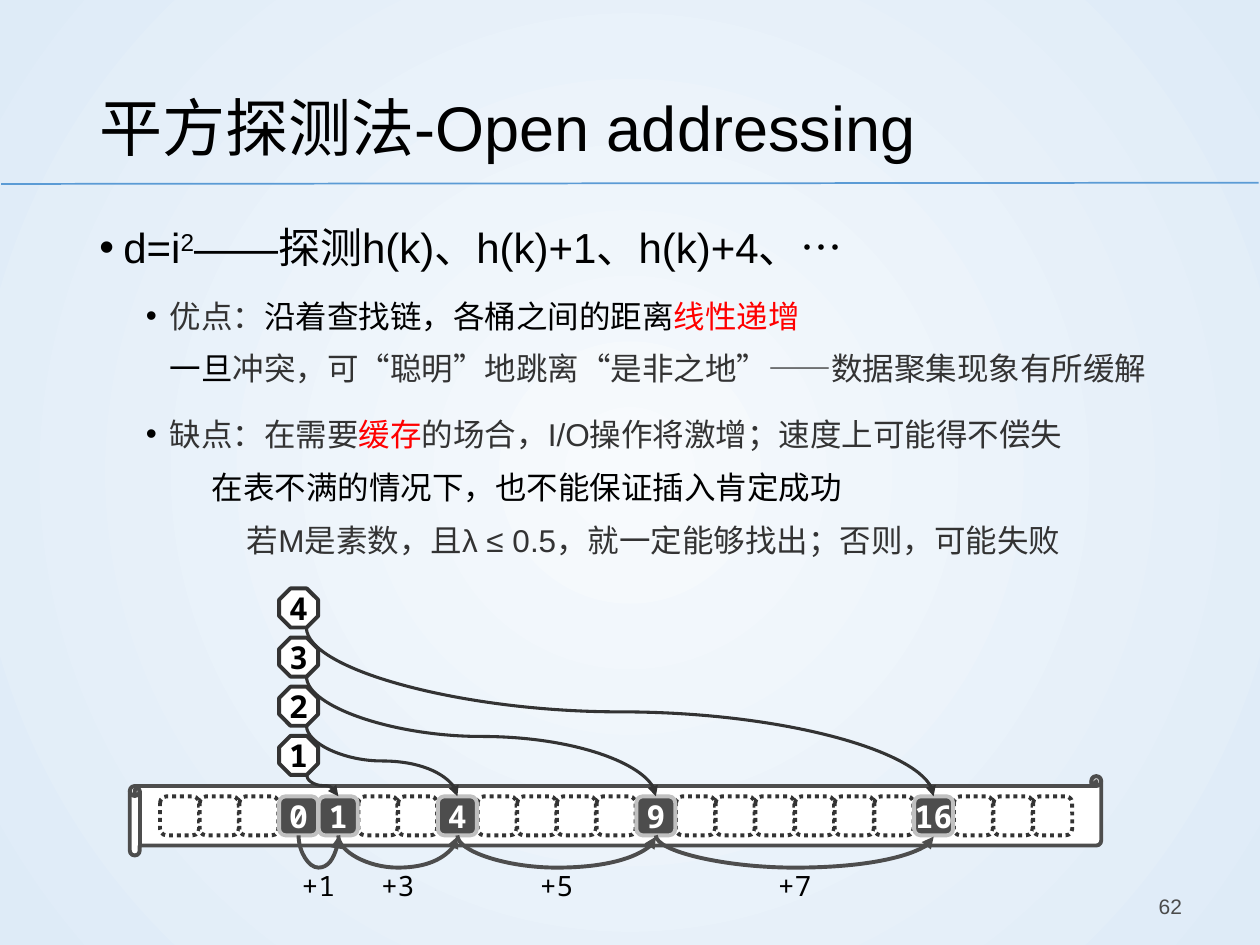
"""Build the slide on quadratic probing in open addressing."""
import pptx
import pptx.dml.color
import pptx.enum.dml
import pptx.enum.shapes
import pptx.enum.text
import pptx.oxml
import pptx.oxml.ns
import pptx.util

rgb = pptx.dml.color.RGBColor.from_string
inch, pt, qn = pptx.util.Inches, pptx.util.Pt, pptx.oxml.ns.qn
kinds, links = pptx.enum.shapes.MSO_SHAPE, pptx.enum.shapes.MSO_CONNECTOR
align, anchor = pptx.enum.text.PP_ALIGN, pptx.enum.text.MSO_ANCHOR
no_fit = pptx.enum.text.MSO_AUTO_SIZE.NONE
NS = 'xmlns:a="http://schemas.openxmlformats.org/drawingml/2006/main"'

INK, GREY, BLACK, RED, WHITE = "333333", "4D4D4D", "000000", "FF0000", "FFFFFF"
PITCH, CELL, COLUMNS, HOME = 6.93 / 22, 0.31, 23, 3
ROW_LEFT, ROW_TOP, STACK_TOP, STACK_STEP = 1.27, 6.32, 5.84, 0.39
LABEL_TOP, ARC_DEPTH = 6.87, 0.26
SQUARES = [0, 1, 4, 9, 16]


def block(kind, left, top, fill, line, words="", ink=BLACK, size=18, bold=True):
    """Draw one cell-sized block, with centred words if any."""
    piece = slide.shapes.add_shape(kind, inch(left), inch(top), inch(CELL), inch(CELL))
    piece.shadow.inherit = False
    if fill:
        piece.fill.solid()
        piece.fill.fore_color.rgb = rgb(fill)
        piece.line.color.rgb, piece.line.width = rgb(line), pt(2.25)
    else:
        piece.fill.background()
        piece.line.fill.background()
    if words:
        frame = piece.text_frame
        layout = dict(margin_left=0, margin_right=0, margin_top=0, margin_bottom=0,
                      word_wrap=False, vertical_anchor=anchor.MIDDLE)
        for name, value in layout.items():
            setattr(frame, name, value)
        frame.text = words
        frame.paragraphs[0].alignment = align.CENTER
        font = frame.paragraphs[0].runs[0].font
        for name, value in dict(name="Noto Sans Mono", size=pt(size), bold=bold).items():
            setattr(font, name, value)
        font.color.rgb = rgb(ink)
    return piece


def hop(start, end, bend, ink, width):
    """Draw a curved arrow that leaves downwards from start and arrives at end."""
    (x1, y1), (x2, y2) = start, end
    half_x, half_y = (y2 - y1) / 2, (x2 - x1) / 2
    mid_x, mid_y = (x1 + x2) / 2, (y1 + y2) / 2
    arrow = slide.shapes.add_connector(
        links.CURVE, inch(mid_x - half_x), inch(mid_y - half_y),
        inch(mid_x + half_x), inch(mid_y + half_y))
    arrow.line.color.rgb, arrow.line.width = rgb(ink), pt(width)
    properties = arrow._element.spPr
    turn = properties.find(qn("a:xfrm"))
    turn.set("rot", "16200000")
    turn.set("flipH", "1")
    geometry = properties.find(qn("a:prstGeom"))
    geometry.find(qn("a:avLst")).append(pptx.oxml.parse_xml(
        f'<a:gd {NS} name="adj1" fmla="val {round(bend * 100000)}"/>'))
    properties.find(qn("a:ln")).append(pptx.oxml.parse_xml(f'<a:tailEnd {NS} type="triangle"/>'))
    properties.append(pptx.oxml.parse_xml(f"<a:effectLst {NS}/>"))


deck = pptx.Presentation()
deck.slide_width, deck.slide_height = inch(10), inch(7.5)
slide = deck.slides.add_slide(deck.slide_layouts[5])

backdrop = slide.background.fill
backdrop.gradient()
for stop, shade in zip(backdrop.gradient_stops, ["F7FAFD", "DEEBF7"]):
    stop.color.rgb = rgb(shade)
gradient = slide._element.find(".//" + qn("a:gradFill"))
gradient.replace(gradient.find(qn("a:lin")), pptx.oxml.parse_xml(
    f'<a:path {NS} path="circle"><a:fillToRect l="50000" t="50000" r="50000" b="50000"/></a:path>'))

rule = slide.shapes.add_connector(links.STRAIGHT, inch(0.01), inch(1.46), inch(9.99), inch(1.45))
rule.line.color.rgb, rule.line.width = rgb("5B9BD5"), pt(1)
rule._element.spPr.append(pptx.oxml.parse_xml(f"<a:effectLst {NS}/>"))

heading = slide.shapes.title
for name, value in dict(left=0.69, top=0.4, width=8.62, height=1.08).items():
    setattr(heading, name, inch(value))
page = slide.shapes.add_textbox(inch(7.23), inch(6.99), inch(2.25), inch(0.4))
for holder, words, side, size, ink, spacing in [
        (heading, "平方探测法-Open addressing", align.LEFT, 36, BLACK, 1.2),
        (page, "62", align.RIGHT, 12, "4B4B4B", 1)]:
    frame = holder.text_frame
    frame.text = words
    for name, value in dict(word_wrap=True, auto_size=no_fit, vertical_anchor=anchor.MIDDLE).items():
        setattr(frame, name, value)
    line = frame.paragraphs[0]
    line.alignment, line.line_spacing = side, spacing
    line.runs[0].font.name, line.runs[0].font.size = "Arial", pt(size)
    line.runs[0].font.color.rgb = rgb(ink)

points = [
    (0.19, True, 24, 1.2, 0, 0, [("d=i", BLACK), ("2", BLACK), ("——探测h(k)、h(k)+1、h(k)+4、…", BLACK)]),
    (0.56, True, 18, 1.4, 5.4, 0, [("优点：", INK), ("沿着查找链，各桶之间的距离", BLACK), ("线性递增", RED)]),
    (0.56, False, 18, 1.4, 0, 1.8, [("一旦", BLACK), ("冲突，可“聪明”地跳离“是非之地”——数据聚集现象有所缓解", INK)]),
    (0.56, True, 18, 1.4, 5.4, 0, [("缺点：在需要", INK), ("缓存", RED),
                                   ("的场合，I/O操作将激增；速度上可能得不偿失", INK)]),
    (0.89, False, 18, 1.4, 0, 0, [("在表不满的情况下，也不能保证插入肯定成功", BLACK)]),
    (1.17, False, 18, 1.4, 0, 0, [("若M是素数，且λ ≤ 0.5，就一定能够找出；否则，可能失败", INK)]),
]
notes = slide.shapes.add_textbox(inch(0.69), inch(1.63), inch(8.62), inch(5.13)).text_frame
notes.word_wrap, notes.auto_size = True, no_fit
for row, (indent, bullet, size, spacing, before, after, pieces) in enumerate(points):
    point = notes.add_paragraph() if row else notes.paragraphs[0]
    level = point._p.get_or_add_pPr()
    level.set("marL", str(inch(indent)))
    level.set("indent", str(inch(-0.19 if bullet else 0)))
    if bullet:
        for mark in ('buClr {}><a:srgbClr val="000000"/></a:buClr>',
                     'buFont {} typeface="Arial"/>', 'buChar {} char="•"/>'):
            level.append(pptx.oxml.parse_xml("<a:" + mark.format(NS)))
    for name, value in dict(line_spacing=spacing, space_before=pt(before), space_after=pt(after)).items():
        setattr(point, name, value)
    for words, ink in pieces:
        run = point.add_run()
        run.text = words
        run.font.name, run.font.size, run.font.color.rgb = "Arial", pt(size), rgb(ink)
        if words == "2":
            run.font._element.set("baseline", "30000")

scroll = slide.shapes.add_shape(kinds.HORIZONTAL_SCROLL, inch(1.03), inch(6.16), inch(7.71), inch(0.63))
scroll.shadow.inherit = False
scroll.fill.solid()
scroll.fill.fore_color.rgb = rgb(WHITE)
scroll.line.color.rgb, scroll.line.width = rgb(GREY), pt(2.25)

lefts = [ROW_LEFT + column * PITCH for column in range(COLUMNS)]
probes = [lefts[HOME + square] for square in SQUARES]
for left in lefts:
    if left not in probes:
        bucket = block(kinds.ROUNDED_RECTANGLE, left, ROW_TOP, WHITE, INK)
        bucket.line.dash_style = pptx.enum.dml.MSO_LINE.ROUND_DOT
for square, left in zip(SQUARES, probes):
    block(kinds.ROUNDED_RECTANGLE, left, ROW_TOP, GREY, "C0C0C0", str(square), WHITE)

for step in range(1, len(SQUARES)):
    top = STACK_TOP - (step - 1) * STACK_STEP
    before, after = probes[step - 1] + CELL / 2, probes[step] + CELL / 2
    block(kinds.OCTAGON, probes[0], top, WHITE, INK, str(step))
    hop((probes[0] + 0.7 * CELL, top + CELL), (after, ROW_TOP), 0.5, INK, 1.75)
    hop((before, ROW_TOP + CELL), (after, ROW_TOP + CELL + 0.01), ARC_DEPTH / 0.01, GREY, 2.25)
    block(kinds.OVAL, (before + after - CELL) / 2, LABEL_TOP, None, None,
          f"+{2 * step - 1}", size=16, bold=False)

deck.save("out.pptx")
